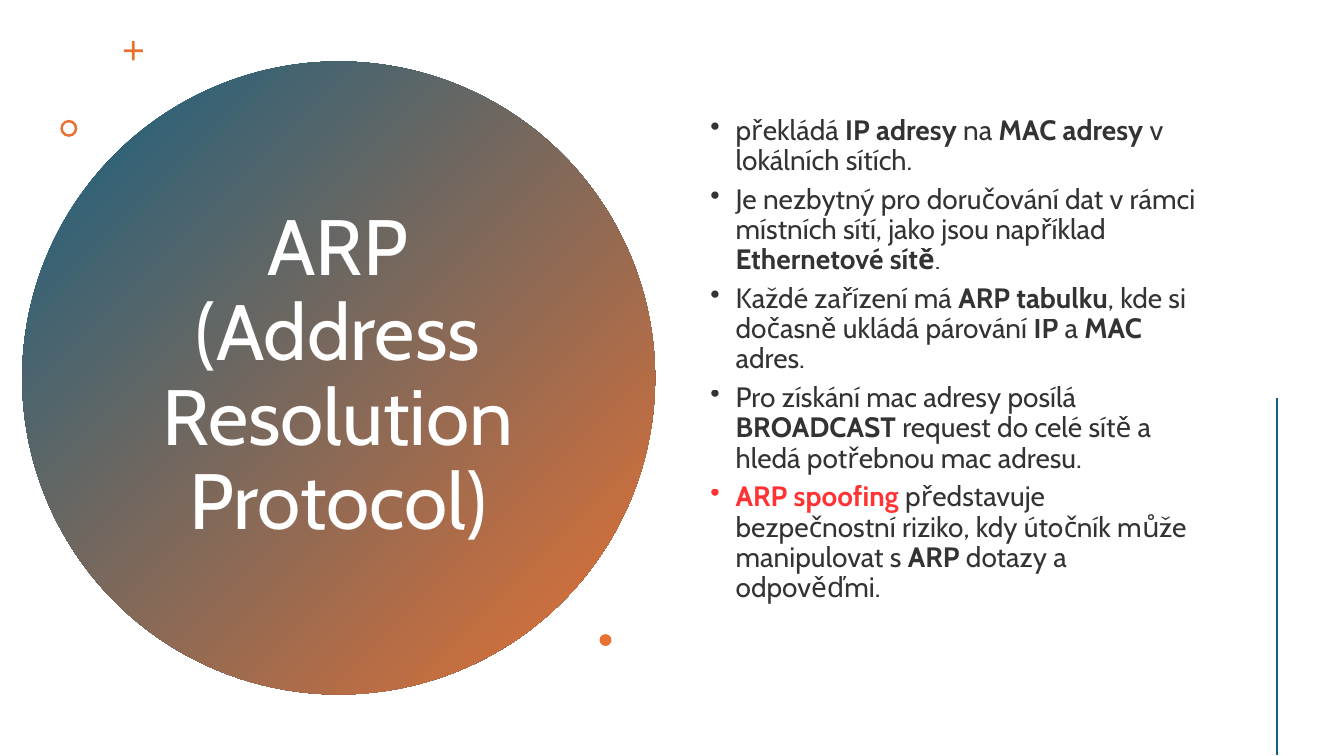
from lxml.etree import SubElement
from pptx import Presentation
from pptx.dml.color import RGBColor
from pptx.enum.shapes import MSO_CONNECTOR as Connector, MSO_SHAPE as Preset
from pptx.enum.text import MSO_ANCHOR as Anchor, MSO_AUTO_SIZE as AutoSize, PP_ALIGN as Align
from pptx.oxml.ns import qn
from pptx.util import Cm, Pt

BLUE = RGBColor(0x15, 0x60, 0x82)
ORANGE = RGBColor(0xE9, 0x71, 0x32)
WHITE = RGBColor(0xFF, 0xFF, 0xFF)
BLACK = RGBColor(0x00, 0x00, 0x00)
RED = RGBColor(0xFF, 0x00, 0x00)

TITLE_LINES = ["ARP", "(Address Resolution Protocol)"]
ARP_FACTS = [
    "překládá *IP adresy *na *MAC adresy *v lokálních sítích.",
    "Je nezbytný pro doručování dat v rámci místních sítí, jako jsou například *Ethernetové sítě*.",
    "Každé zařízení má *ARP tabulku*, kde si dočasně ukládá párování *IP* a *MAC *adres.",
    "Pro získání mac adresy posílá *BROADCAST* request do celé sítě a hledá potřebnou mac adresu.",
    "*ARP spoofing *představuje bezpečnostní riziko, kdy útočník může manipulovat s *ARP *dotazy a odpověďmi.",
]
WARNING = "ARP spoofing "


class SlideBuilder:
    """Holds the style and the current slide, and draws each kind of element."""

    font = "Cabin"
    title_size = Pt(56)
    body_size = Pt(20)
    line_spacing = 0.9

    def __init__(self, slide):
        """Keep the slide to draw on."""
        self.slide = slide

    def add_run(self, paragraph, text, size, color, bold=False):
        """Append one formatted run."""
        run = paragraph.add_run()
        run.text = text
        run.font.name = self.font
        run.font.size = size
        run.font.bold = bold
        run.font.color.rgb = color
        return run

    def shape(self, preset, left, top, size, adjustment=None):
        """Add a square-framed orange shape without an outline."""
        mark = self.slide.shapes.add_shape(preset, Cm(left), Cm(top), Cm(size), Cm(size))
        mark.shadow.inherit = False
        mark.line.fill.background()
        mark.fill.solid()
        mark.fill.fore_color.rgb = ORANGE
        if adjustment is not None:
            mark.adjustments[0] = adjustment
        return mark

    def gradient_circle(self, left, top, size):
        """Add a circle that fades diagonally from blue to orange."""
        circle = self.shape(Preset.OVAL, left, top, size)
        circle.fill.gradient()
        circle.fill.gradient_angle = 315
        for stop, color in zip(circle.fill.gradient_stops, (BLUE, ORANGE)):
            stop.color.rgb = color
        return circle

    def title(self, lines, left, top, width, height, backdrop):
        """Place the title in front of its backdrop."""
        heading = self.slide.shapes.title
        heading.left, heading.top = Cm(left), Cm(top)
        heading.width, heading.height = Cm(width), Cm(height)
        backdrop.element.addnext(heading.element)
        frame = heading.text_frame
        frame.word_wrap = True
        frame.auto_size = AutoSize.NONE
        frame.vertical_anchor = Anchor.MIDDLE
        paragraph = frame.paragraphs[0]
        paragraph.alignment = Align.CENTER
        paragraph.line_spacing = self.line_spacing
        for index, line in enumerate(lines):
            if index:
                paragraph.add_line_break()
            self.add_run(paragraph, line, self.title_size, WHITE)

    def bullets(self, facts, left, top, width, height):
        """Add a bulleted list in which asterisks enclose bold words."""
        box = self.slide.shapes.add_textbox(Cm(left), Cm(top), Cm(width), Cm(height))
        frame = box.text_frame
        frame.word_wrap = True
        frame.vertical_anchor = Anchor.MIDDLE
        for index, fact in enumerate(facts):
            paragraph = frame.add_paragraph() if index else frame.paragraphs[0]
            properties = paragraph._p.get_or_add_pPr()
            properties.set("marL", str(Cm(0.79)))
            properties.set("indent", str(Cm(-0.64)))
            SubElement(properties, qn("a:buChar"), char="•")
            paragraph.line_spacing = self.line_spacing
            paragraph.space_after = Pt(6)
            for position, text in enumerate(fact.split("*")):
                if text:
                    color = RED if text == WARNING else BLACK
                    run = self.add_run(paragraph, text, self.body_size, color, position % 2 == 1)
                    tint = run._r.find(".//" + qn("a:srgbClr"))
                    SubElement(tint, qn("a:alpha"), val="80000")

    def vertical_line(self, left, top, bottom):
        """Add a blue vertical line without a shadow."""
        line = self.slide.shapes.add_connector(
            Connector.STRAIGHT, Cm(left), Cm(top), Cm(left), Cm(bottom))
        line.line.color.rgb = BLUE
        line.line.width = Pt(2)
        SubElement(line.element.spPr, qn("a:effectLst"))


def main():
    """Build and save the slide about ARP."""
    deck = Presentation()
    deck.slide_width, deck.slide_height = Cm(33.87), Cm(19.05)
    builder = SlideBuilder(deck.slides.add_slide(deck.slide_layouts[5]))
    circle = builder.gradient_circle(0.56, 1.55, 15.95)
    builder.title(TITLE_LINES, 3.45, 3.58, 10.13, 11.86, circle)
    builder.shape(Preset.CROSS, 3.12, 1.04, 0.48, 0.43)
    builder.shape(Preset.DONUT, 1.52, 3.02, 0.43, 0.15)
    builder.bullets(ARP_FACTS, 17.5, 0.97, 13.26, 16.2)
    builder.shape(Preset.OVAL, 15.11, 15.98, 0.3)
    builder.vertical_line(32.18, 10.03, 19.02)
    deck.save("out.pptx")


if __name__ == "__main__":
    main()
